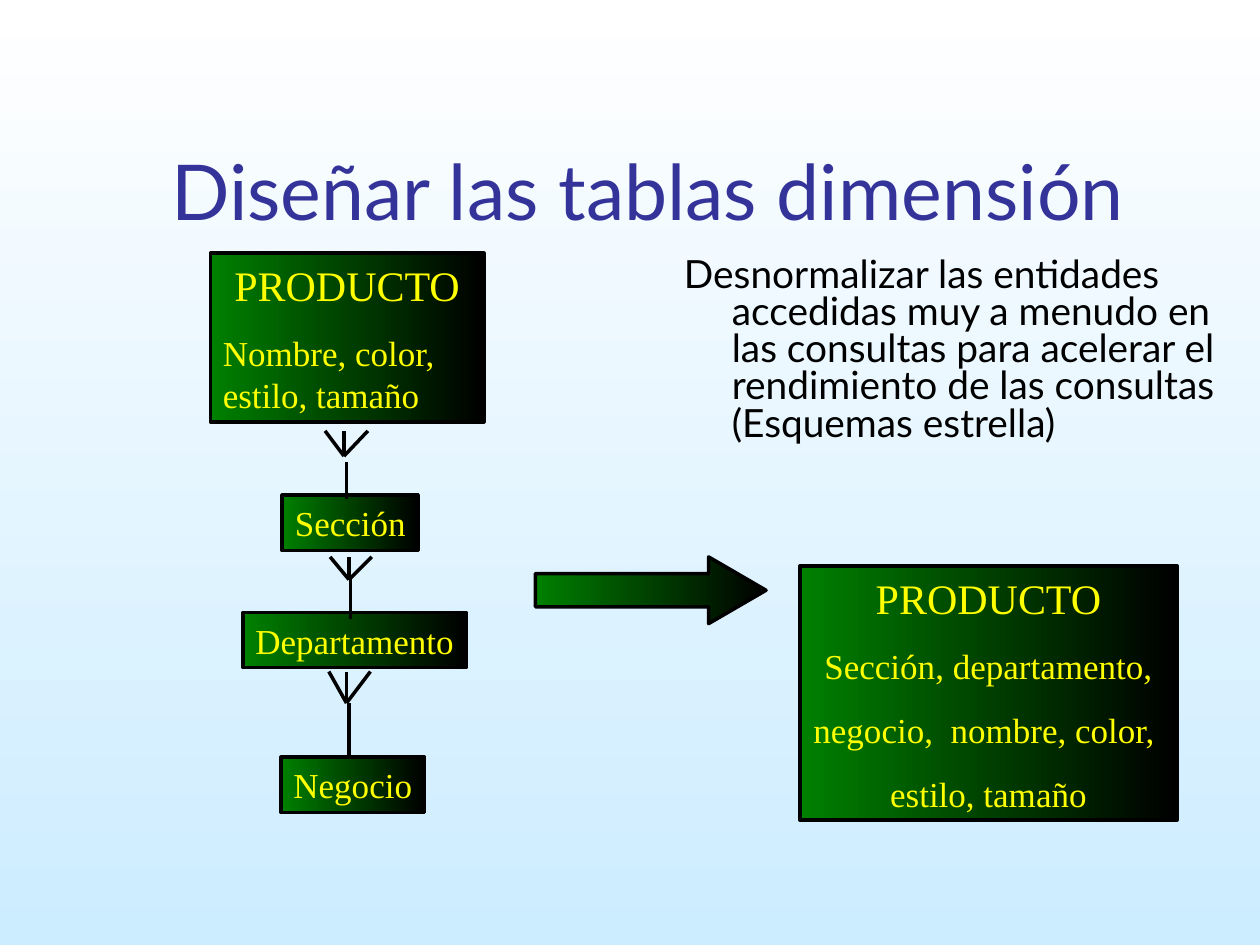
import pptx
import pptx.util
import pptx.dml.color
import pptx.enum.shapes
import pptx.enum.text
import pptx.oxml
import pptx.oxml.ns
from pptx.util import Inches

COLORS = {
    "title": "333399",
    "text": "000000",
    "label": "FFFF00",
    "line": "000000",
    "box_start": "008000",
    "box_end": "000000",
    "sky_start": "FFFFFF",
    "sky_end": "CCECFF",
}
ALIGN = pptx.enum.text.PP_ALIGN
ANCHOR = pptx.enum.text.MSO_ANCHOR
SHAPE = pptx.enum.shapes.MSO_SHAPE
HEADING_SIZE = 24
LABEL_SIZE = 20


def color(name):
    return pptx.dml.color.RGBColor.from_string(COLORS[name])


def set_gradient(fill, start, end, angle):
    fill.gradient()
    fill.gradient_angle = angle
    for stop, name in zip(fill.gradient_stops, (start, end)):
        stop.color.rgb = color(name)


def set_font(paragraph, name, size, color_name):
    paragraph.font.name = name
    paragraph.font.size = pptx.util.Pt(size)
    paragraph.font.color.rgb = color(color_name)


def add_title(slide, text):
    title = slide.shapes.title
    title.left, title.top = Inches(1.26), Inches(0.67)
    title.width, title.height = Inches(8.52), Inches(1.25)
    frame = title.text_frame
    frame.text = text
    frame.auto_size = pptx.enum.text.MSO_AUTO_SIZE.NONE
    frame.vertical_anchor = ANCHOR.BOTTOM
    paragraph = frame.paragraphs[0]
    paragraph.alignment = ALIGN.LEFT
    set_font(paragraph, "Lato", 44, "title")


def add_body(slide, text):
    box = slide.shapes.add_textbox(Inches(5.33), Inches(2), Inches(4.42), Inches(2.17))
    frame = box.text_frame
    frame.word_wrap = True
    frame.text = text
    paragraph = frame.paragraphs[0]
    paragraph.line_spacing = 0.8
    paragraph.space_before = pptx.util.Pt(6)
    set_font(paragraph, "Lato", 22.2, "text")
    properties = paragraph._p.get_or_add_pPr()
    properties.set("marL", str(Inches(0.38)))
    properties.set("indent", str(-Inches(0.38)))


def add_gradient_shape(slide, kind, left, top, width, height):
    shape = slide.shapes.add_shape(
        kind, Inches(left), Inches(top), Inches(width), Inches(height))
    shape.shadow.inherit = False
    set_gradient(shape.fill, "box_start", "box_end", 0)
    shape.line.color.rgb = color("line")
    shape.line.width = pptx.util.Pt(2)
    return shape


def add_entity(slide, left, top, width, height, rows, wrap=False):
    shape = add_gradient_shape(slide, SHAPE.RECTANGLE, left, top, width, height)
    frame = shape.text_frame
    frame.word_wrap = wrap
    frame.vertical_anchor = ANCHOR.MIDDLE
    frame.text = "\n".join(text for text, size, alignment in rows)
    for paragraph, (text, size, alignment) in zip(frame.paragraphs, rows):
        paragraph.alignment = alignment
        paragraph.space_before = pptx.util.Pt(size * 0.625)
        set_font(paragraph, "Times New Roman", size, "label")


def add_line(shapes, start, end):
    connector = shapes.add_connector(
        pptx.enum.shapes.MSO_CONNECTOR.STRAIGHT,
        Inches(start[0]), Inches(start[1]), Inches(end[0]), Inches(end[1]))
    connector.line.color.rgb = color("line")
    connector.line.width = pptx.util.Pt(2)
    connector._element.spPr.append(pptx.oxml.parse_xml(
        "<a:effectLst %s/>" % pptx.oxml.ns.nsdecls("a")))


def add_crow_foot(slide, left, middle, right, top, bottom):
    group = slide.shapes.add_group_shape()
    for x in (left, right, middle):
        add_line(group.shapes, (middle, bottom), (x, top))


def add_hierarchy(slide):
    add_entity(slide, 1.67, 2.01, 2.17, 1.34, [
        ("PRODUCTO", HEADING_SIZE, ALIGN.CENTER),
        ("Nombre, color, estilo, tamaño", LABEL_SIZE, ALIGN.LEFT),
    ], wrap=True)
    levels = [
        ("Sección", (2.24, 3.93, 1.08), (2.58, 2.73, 2.92, 3.42, 3.62), (2.75, 3.67, 3.96)),
        ("Departamento", (1.93, 4.86, 1.77), (2.62, 2.77, 2.95, 4.42, 4.6), (2.78, 4.58, 4.91)),
        ("Negocio", (2.23, 6.01, 1.14), (2.61, 2.75, 2.94, 5.33, 5.58), (2.77, 5.58, 6)),
    ]
    for name, box, foot, (x, top, bottom) in levels:
        add_crow_foot(slide, *foot)
        add_entity(slide, *box, 0.44, [(name, LABEL_SIZE, ALIGN.CENTER)])
        add_line(slide.shapes, (x, top), (x, bottom))


def add_denormalized_entity(slide):
    arrow = add_gradient_shape(slide, SHAPE.RIGHT_ARROW, 4.25, 4.42, 1.83, 0.53)
    arrow.adjustments[0] = 0.5
    arrow.adjustments[1] = 0.86
    rows = [("PRODUCTO", HEADING_SIZE, ALIGN.CENTER)]
    for text in ("Sección, departamento,", "negocio,  nombre, color, ", "estilo, tamaño"):
        rows.append((text, LABEL_SIZE, ALIGN.CENTER))
    add_entity(slide, 6.35, 4.49, 2.99, 2.02, rows)


def main():
    presentation = pptx.Presentation()
    presentation.slide_width = Inches(10)
    presentation.slide_height = Inches(7.5)
    slide = presentation.slides.add_slide(presentation.slide_layouts[5])
    set_gradient(slide.background.fill, "sky_start", "sky_end", 270)
    add_title(slide, "Diseñar las tablas dimensión")
    add_body(slide, "Desnormalizar las entidades accedidas muy a menudo en las consultas "
                    "para acelerar el rendimiento de las consultas (Esquemas estrella)")
    add_hierarchy(slide)
    add_denormalized_entity(slide)
    presentation.save("out.pptx")


if __name__ == "__main__":
    main()
